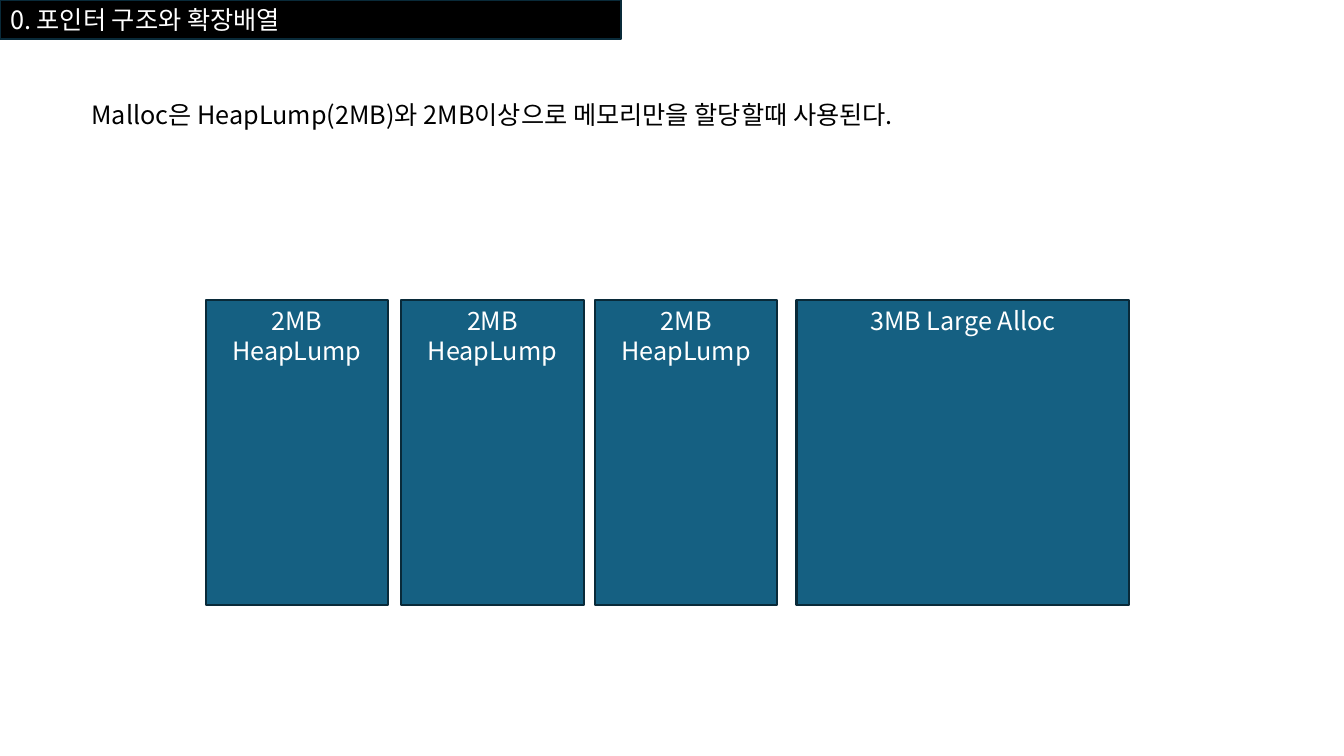
"""Build the slide on heap lumps and large allocations."""
from lxml.etree import SubElement
from pptx import Presentation
from pptx.dml.color import RGBColor
from pptx.enum.shapes import MSO_SHAPE
from pptx.enum.text import MSO_ANCHOR as ANCHOR, MSO_AUTO_SIZE as AUTO, PP_ALIGN as ALIGN
from pptx.oxml.ns import qn
from pptx.util import Inches, Pt

FONT = "Noto Sans CJK KR"
TITLE = "0. 포인터 구조와 확장배열"
NOTE = "Malloc은 HeapLump(2MB)와 2MB이상으로 메모리만을 할당할때 사용된다."
BLOCK_TOP, BLOCK_HEIGHT = 2.98, 3.02
BLOCKS = [
    ("2MB HeapLump", 2.04, 1.81),
    ("2MB HeapLump", 3.98, 1.81),
    ("2MB HeapLump", 5.9, 1.81),
    ("3MB Large Alloc", 7.9, 3.3),
]


def rgb(value):
    return RGBColor.from_string(value)


def paint(shape, fill):
    shape.fill.solid()
    shape.fill.fore_color.rgb = rgb(fill)
    shape.line.color.rgb = rgb("092A39")
    shape.line.width = Pt(1.5)


def write(shape, text, color, align, anchor):
    tf = shape.text_frame
    tf.word_wrap = True
    tf.auto_size = AUTO.NONE
    tf.vertical_anchor = anchor
    p = tf.paragraphs[0]
    p.text = text
    p.alignment = align
    p.font.size = Pt(18)
    p.font.name = FONT
    p.font.color.rgb = rgb(color)
    props = p._p.get_or_add_pPr().find(qn("a:defRPr"))
    SubElement(props, qn("a:ea"), typeface=FONT)


def main():
    prs = Presentation()
    prs.slide_width, prs.slide_height = Inches(13.33), Inches(7.5)
    s = prs.slides.add_slide(prs.slide_layouts[5])

    title = s.shapes.title
    title.left, title.top = Inches(0), Inches(0)
    title.width, title.height = Inches(6.16), Inches(0.39)
    paint(title, "000000")
    write(title, TITLE, "FFFFFF", ALIGN.LEFT, ANCHOR.MIDDLE)

    note = s.shapes.add_textbox(Inches(0.81), Inches(0.94), Inches(9.7), Inches(0.4))
    write(note, NOTE, "000000", ALIGN.LEFT, ANCHOR.TOP)
    note.text_frame.auto_size = AUTO.SHAPE_TO_FIT_TEXT

    for label, left, width in BLOCKS:
        block = s.shapes.add_shape(MSO_SHAPE.RECTANGLE, Inches(left), Inches(BLOCK_TOP),
                                   Inches(width), Inches(BLOCK_HEIGHT))
        block.shadow.inherit = False
        paint(block, "156082")
        write(block, label, "FFFFFF", ALIGN.CENTER, ANCHOR.TOP)

    prs.save("out.pptx")


if __name__ == "__main__":
    main()
